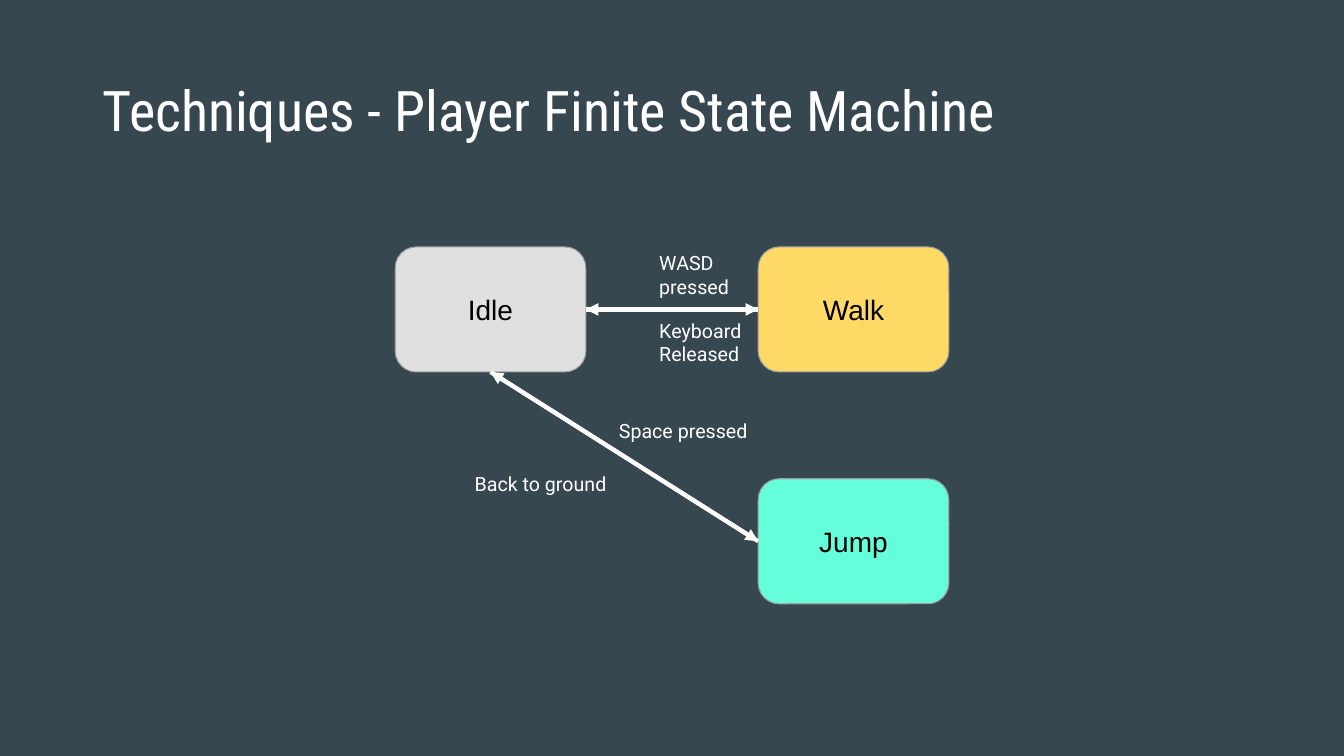
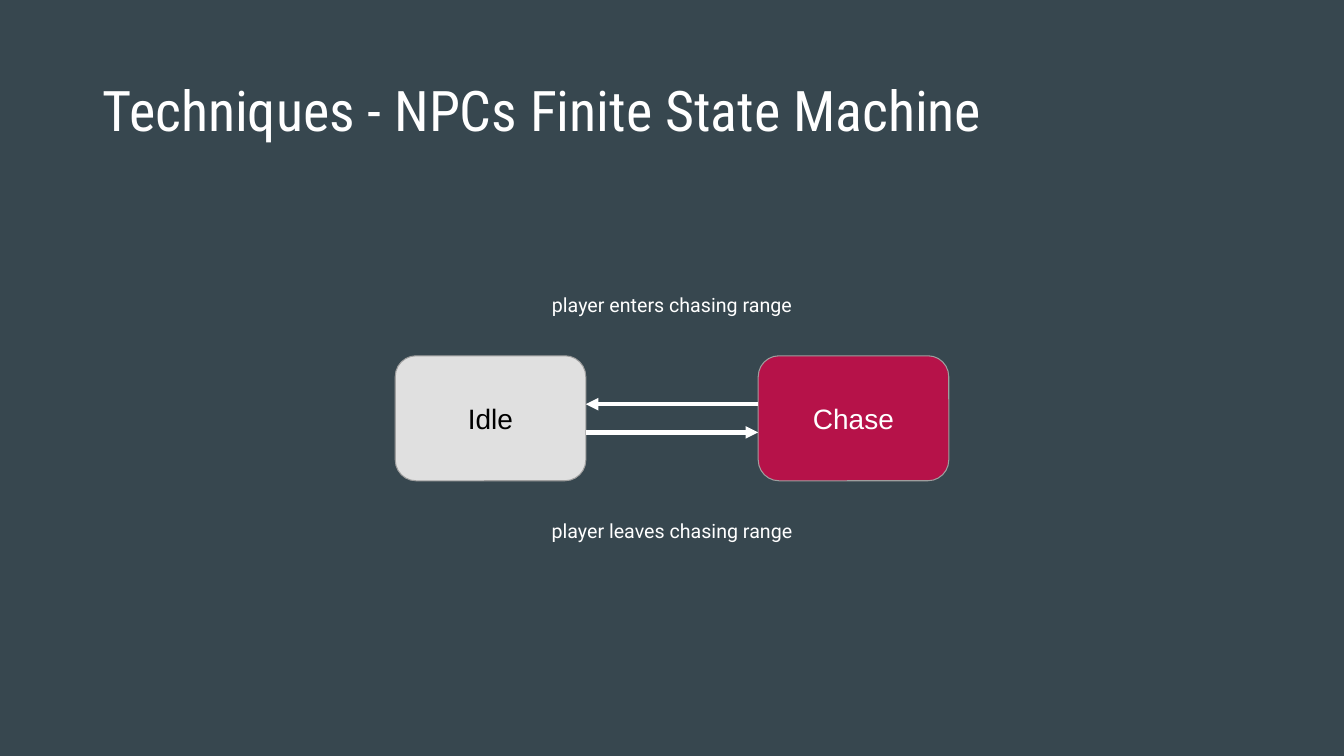
"""Builds two state machine slides: the player and the NPCs."""
import pptx
import pptx.util
import pptx.dml.color
import pptx.enum.shapes
import pptx.enum.text
import pptx.oxml

RGB = pptx.dml.color.RGBColor
ALIGN = pptx.enum.text.PP_ALIGN
ANCHOR = pptx.enum.text.MSO_ANCHOR
SLATE = RGB(0x37, 0x47, 0x4F)
WHITE = RGB(0xFF, 0xFF, 0xFF)
BLACK = RGB(0x00, 0x00, 0x00)
EDGE = RGB(0x9E, 0x9E, 0x9E)
GREY = RGB(0xE0, 0xE0, 0xE0)
GOLD = RGB(0xFF, 0xD9, 0x66)
MINT = RGB(0x64, 0xFF, 0xDA)
ROSE = RGB(0xB6, 0x12, 0x49)

SCALE = 9144
WIDE, HIGH = 189, 124
LEFT, RIGHT = 392, 752
SITES = {"left": (1, 0, 0.5), "bottom": (2, 0.5, 1), "right": (3, 1, 0.5)}

SLIDES = [
    {
        "title": "Techniques - Player Finite State Machine",
        "states": [
            ("Idle", LEFT, 245, GREY, BLACK),
            ("Walk", RIGHT, 245, GOLD, BLACK),
            ("Jump", RIGHT, 475, MINT, BLACK),
        ],
        "arrows": [
            ("Idle", "right", "Walk", "left", 0),
            ("Walk", "left", "Idle", "right", 0),
            ("Idle", "bottom", "Jump", "left", 0),
            ("Jump", "left", "Idle", "bottom", 0),
        ],
        "labels": [
            ("WASD\vpressed", (644, 239, 224, 67), ALIGN.LEFT),
            ("Keyboard\nReleased", (644, 306, 224, 67), ALIGN.LEFT),
            ("Space pressed", (604, 406, 304, 44), ALIGN.LEFT),
            ("Back to ground", (461, 458, 170, 44), ALIGN.LEFT),
        ],
    },
    {
        "title": "Techniques - NPCs Finite State Machine",
        "states": [
            ("Idle", LEFT, 353, GREY, BLACK),
            ("Chase", RIGHT, 353, ROSE, WHITE),
        ],
        "arrows": [
            ("Idle", "right", "Chase", "left", 14),
            ("Chase", "left", "Idle", "right", -14),
        ],
        "labels": [
            ("player enters chasing range", (469, 281, 395, 44), ALIGN.CENTER),
            ("player leaves chasing range", (469, 505, 395, 44), ALIGN.CENTER),
        ],
    },
]


def px(*sizes):
    return [round(size * SCALE) for size in sizes]


def write(shape, text, font, size, color, align, anchor, pad=10):
    frame = shape.text_frame
    frame.word_wrap = True
    frame.vertical_anchor = anchor
    frame.margin_left, frame.margin_right = px(10, 10)
    frame.margin_top, frame.margin_bottom = px(pad, pad)
    frame.text = text
    for para in frame.paragraphs:
        para.alignment = align
        for run in para.runs:
            run.font.name = font
            run.font.size = pptx.util.Pt(size)
            run.font.color.rgb = color


def add_title(slide, text):
    box = slide.shapes.add_textbox(*px(92, 40, 1150, 145))
    write(box, text, "Roboto Condensed", 40, WHITE, ALIGN.LEFT, ANCHOR.MIDDLE, 5)
    box.text_frame.paragraphs[0].line_spacing = 0.9


def add_state(slide, name, left, top, fill, ink):
    kind = pptx.enum.shapes.MSO_SHAPE.ROUNDED_RECTANGLE
    box = slide.shapes.add_shape(kind, *px(left, top, WIDE, HIGH))
    box.shadow.inherit = False
    box.fill.solid()
    box.fill.fore_color.rgb = fill
    box.line.color.rgb = EDGE
    box.line.width = pptx.util.Pt(0.75)
    write(box, name, "Arial", 20, ink, ALIGN.CENTER, ANCHOR.MIDDLE)
    return box


def port(box, side, shift):
    _, across, down = SITES[side]
    x = box.left + round(box.width * across)
    y = box.top + round(box.height * down)
    return x, y + px(shift)[0]


def add_arrow(slide, start, exit_side, end, entry_side, shift):
    kind = pptx.enum.shapes.MSO_CONNECTOR.STRAIGHT
    ends = port(start, exit_side, shift) + port(end, entry_side, shift)
    arrow = slide.shapes.add_connector(kind, *ends)
    if not shift:
        arrow.begin_connect(start, SITES[exit_side][0])
        arrow.end_connect(end, SITES[entry_side][0])
    arrow.line.color.rgb = WHITE
    arrow.line.width = pptx.util.Pt(3)
    space = pptx.oxml.ns.nsdecls("a")
    head = pptx.oxml.parse_xml(f'<a:tailEnd {space} type="triangle"/>')
    arrow.line._get_or_add_ln().append(head)
    props = arrow._element.spPr
    props.append(pptx.oxml.parse_xml(f"<a:effectLst {space}/>"))


def add_label(slide, text, area, align):
    box = slide.shapes.add_textbox(*px(*area))
    write(box, text, "Roboto", 14, WHITE, align, ANCHOR.TOP)


def build(deck, page):
    slide = deck.slides.add_slide(deck.slide_layouts[6])
    add_title(slide, page["title"])
    boxes = {state[0]: add_state(slide, *state) for state in page["states"]}
    for start, exit_side, end, entry_side, shift in page["arrows"]:
        add_arrow(slide, boxes[start], exit_side, boxes[end], entry_side, shift)
    for label in page["labels"]:
        add_label(slide, *label)


def main():
    deck = pptx.Presentation()
    deck.slide_width, deck.slide_height = px(1333, 750)
    back = deck.slide_master.background.fill
    back.solid()
    back.fore_color.rgb = SLATE
    for page in SLIDES:
        build(deck, page)
    deck.save("out.pptx")


if __name__ == "__main__":
    main()
